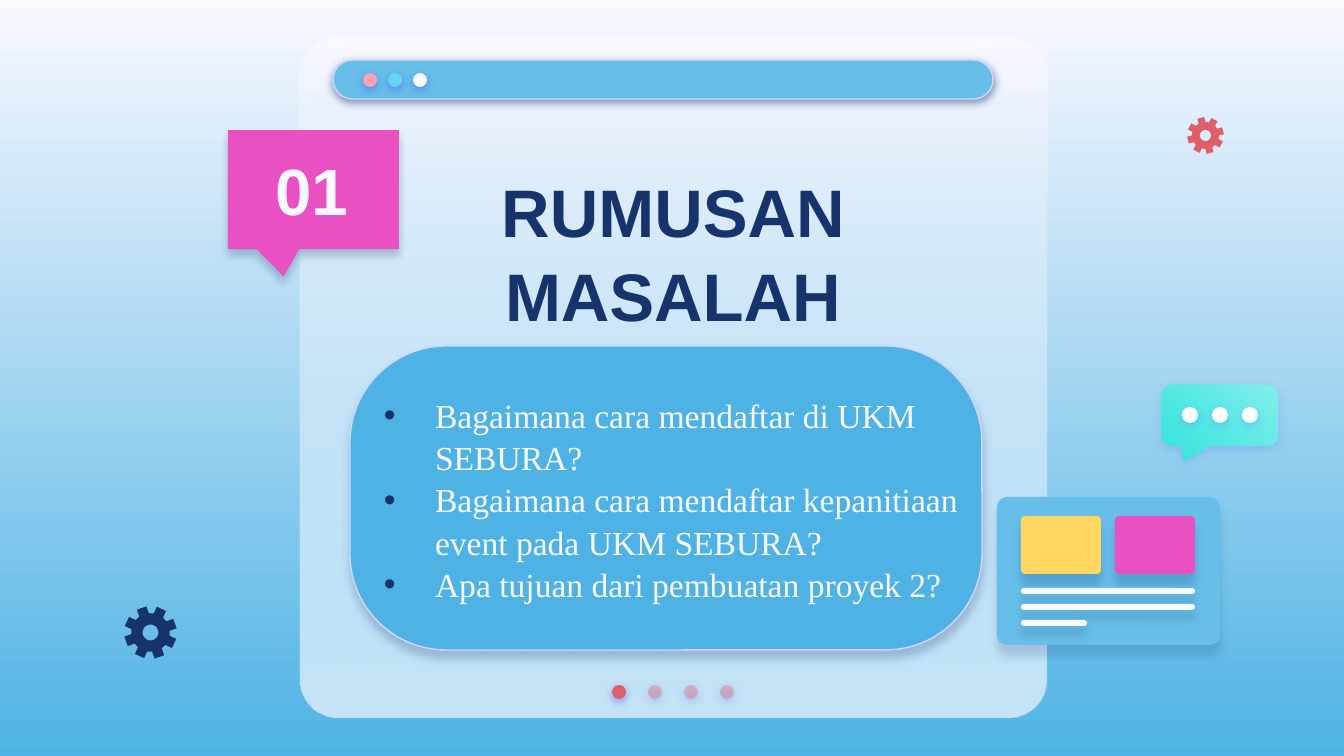
from math import cos, radians, sin

from lxml.etree import SubElement
from pptx import Presentation
from pptx.dml.color import RGBColor
from pptx.enum.shapes import MSO_SHAPE
from pptx.enum.text import MSO_ANCHOR, PP_ALIGN
from pptx.oxml.ns import qn
from pptx.util import Pt

SCALE = 914400 / 134.4
COLORS = {
    "pale": "F9F8FF", "sky": "4EB3E4", "blue": "66BEE9", "navy": "17336B",
    "violet": "5352EE", "lilac": "D2D6FF", "pink": "E951C2", "red": "DF5F69",
    "rose": "E27B83", "blush": "FDA0B4", "cyan": "60D8F4", "yellow": "FFD65F",
    "mint": "81EEEB", "teal": "3AE4DF", "white": "FFFFFF",
}
DOT_SHADOW = ("violet", 50, 1.5)
CHAT_SHADOW = ("violet", 18, 1.5)


def px(length):
    """Turn pixels into EMU."""
    return round(length * SCALE)


def rgb(name):
    """Look up a named colour."""
    return RGBColor.from_string(COLORS[name])


def add_alpha(color_parent, percent):
    """Set the opacity of the colour inside a fill or gradient stop."""
    color = color_parent.find(qn("a:srgbClr"))
    SubElement(color, qn("a:alpha"), val=str(percent * 1000))


def set_gradient(fill, names, angle=270):
    """Give a fill a linear gradient between two named colours."""
    fill.gradient()
    fill.gradient_angle = angle
    for stop, name in zip(fill.gradient_stops, names):
        stop.color.rgb = rgb(name)


def style_shape(shape, fill=None, line=None, shadow=None):
    """Apply fill, outline and a downward shadow of (colour, opacity, distance)."""
    shape.shadow.inherit = False
    if fill:
        shape.fill.solid()
        shape.fill.fore_color.rgb = rgb(fill)
    if line:
        shape.line.color.rgb = rgb(line)
        shape.line.width = Pt(0.75)
    else:
        shape.line.fill.background()
    if shadow:
        name, opacity, distance = shadow
        effects = shape._element.spPr.find(qn("a:effectLst"))
        outer = SubElement(effects, qn("a:outerShdw"), blurRad=str(Pt(4.5)),
                           dist=str(Pt(distance)), dir="5400000",
                           algn="bl", rotWithShape="0")
        SubElement(outer, qn("a:srgbClr"), val=COLORS[name])
        add_alpha(outer, opacity)


def add_shape(page, kind, box, fill=None, line=None, shadow=None, adjust=()):
    """Draw a styled preset shape."""
    shape = page.shapes.add_shape(kind, *map(px, box))
    for index, value in enumerate(adjust):
        shape.adjustments[index] = value
    style_shape(shape, fill, line, shadow)
    return shape


def add_rounded(page, box, fill, radius, line=None, shadow=None):
    """Draw a rounded rectangle with a relative corner radius."""
    return add_shape(page, MSO_SHAPE.ROUNDED_RECTANGLE, box, fill, line, shadow, [radius])


def add_dots(page, box, step, fills, shadow):
    """Draw a row of equal dots starting at the given box."""
    left, top, width, height = box
    return [add_shape(page, MSO_SHAPE.OVAL, (left + step * index, top, width, height),
                      fill, shadow=shadow) for index, fill in enumerate(fills)]


def format_text(frame, size, font, color, bold=False, align=None, spacing=None):
    """Format all the paragraphs of a text frame."""
    frame.word_wrap = True
    frame.margin_left = frame.margin_right = px(13)
    frame.margin_top = frame.margin_bottom = px(13)
    for para in frame.paragraphs:
        para.alignment = align
        para.line_spacing = spacing
        for span in para.runs:
            span.font.size = Pt(size)
            span.font.name = font
            span.font.bold = bold
            span.font.color.rgb = rgb(color)


def draw_window(page, box):
    """Draw the browser-like card with its bar and page dots."""
    left, top, width, _ = box
    add_rounded(page, box, "pale", 0.056)
    veil = add_rounded(page, box, "pale", 0.056)
    set_gradient(veil.fill, ("pale", "blue"))
    add_alpha(veil.fill.gradient_stops[1]._gs, 35)
    for dot in add_dots(page, (left + 312, top + 647, 14, 14), 36,
                        ["red"] + ["rose"] * 3, DOT_SHADOW)[1:]:
        add_alpha(dot._element.spPr.find(qn("a:solidFill")), 44)
    add_rounded(page, (left + 33, top + 22, width - 87, 39), "blue", 0.5,
                "lilac", ("navy", 50, 1.5))
    add_dots(page, (left + 63, top + 35, 14, 14), 25,
             ["blush", "cyan", "pale"], DOT_SHADOW)


def draw_number(page, box, number):
    """Draw the section number in its callout."""
    left, top, width, _ = box
    add_shape(page, MSO_SHAPE.ROUNDED_RECTANGULAR_CALLOUT, box, "pink",
              shadow=("navy", 25, 3.8), adjust=(-0.174, 0.731, 0))
    label = page.shapes.add_textbox(px(left + 12), px(top + 7), px(width - 28), px(105))
    frame = label.text_frame
    frame.text = number
    frame.vertical_anchor = MSO_ANCHOR.BOTTOM
    format_text(frame, 35, "Arial", "pale", True, PP_ALIGN.CENTER)


def draw_title(page, box, text):
    """Place and format the slide title."""
    title = page.shapes.title
    title.left, title.top, title.width, title.height = map(px, box)
    frame = title.text_frame
    frame.text = text
    frame.vertical_anchor = MSO_ANCHOR.MIDDLE
    format_text(frame, 36, "Arial", "navy", True, PP_ALIGN.CENTER, 1.05)


def draw_questions(page, box, questions):
    """Draw the blue panel and its bulleted questions."""
    left, top, width, _ = box
    add_rounded(page, box, "sky", 0.317, "lilac", ("navy", 24, 3.8))
    area = page.shapes.add_textbox(px(left + 21), px(top + 75), px(width + 17), px(155))
    frame = area.text_frame
    frame.text = "\n".join(questions)
    frame.vertical_anchor = MSO_ANCHOR.MIDDLE
    format_text(frame, 18, "Times New Roman", "pale", spacing=1.05)
    for para in frame.paragraphs:
        props = para._p.get_or_add_pPr()
        props.set("marL", str(px(51)))
        props.set("indent", str(px(-51)))
        color = SubElement(props, qn("a:buClr"))
        SubElement(color, qn("a:srgbClr"), val=COLORS["navy"])
        SubElement(props, qn("a:buFont"), typeface="Arial")
        SubElement(props, qn("a:buChar"), char="•")


def draw_card(page, box):
    """Draw the small card with two tiles and three lines."""
    left, top, _, _ = box
    add_rounded(page, box, "blue", 0.07, shadow=("navy", 17, 6))
    for index, fill in enumerate(("yellow", "pink")):
        add_rounded(page, (left + 24 + 94 * index, top + 19, 80, 58), fill, 0.07,
                    shadow=("navy", 20, 6))
    for index, length in enumerate((174, 174, 66)):
        add_rounded(page, (left + 24, top + 91 + 16 * index, length, 6), "pale", 0.5,
                    shadow=("navy", 21, 4.5))


def draw_chat(page, box):
    """Draw the chat bubble with three dots."""
    left, top, _, _ = box
    bubble = add_shape(page, MSO_SHAPE.ROUNDED_RECTANGULAR_CALLOUT, box,
                       shadow=CHAT_SHADOW, adjust=(-0.31, 0.74, 0.18))
    set_gradient(bubble.fill, ("mint", "teal"), 225)
    add_dots(page, (left + 20, top + 22, 16, 16), 30, ["white"] * 3, CHAT_SHADOW)


def draw_gear(page, box, turn, fill):
    """Draw an eight-toothed gear with a round hole."""
    left, top, size, _ = box
    outer = size / 2

    def point(radius, angle):
        """Find a point around the centre of the gear."""
        return (px(left + outer + radius * cos(radians(angle))),
                px(top + outer + radius * sin(radians(angle))))

    rim = [point(outer * radius, turn + 45 * tooth + offset) for tooth in range(8)
           for radius, offset in ((0.73, -15), (1, -11), (1, 11), (0.73, 15))]
    hole = [point(outer * 0.3, angle) for angle in range(0, 360, 10)]
    builder = page.shapes.build_freeform(*rim[0])
    builder.add_line_segments(rim[1:])
    builder.move_to(*hole[0])
    builder.add_line_segments(hole[1:])
    style_shape(builder.convert_to_shape(), fill)


def main():
    """Build the deck and save it."""
    deck = Presentation()
    deck.slide_width, deck.slide_height = px(1344), px(756)
    page = deck.slides.add_slide(deck.slide_layouts[5])
    set_gradient(page.background.fill, ("pale", "sky"))
    draw_window(page, (300, 38, 747, 680))
    draw_title(page, (364, 128, 618, 245), "RUMUSAN\vMASALAH")
    draw_number(page, (228, 130, 171, 119), "01")
    draw_questions(page, (350, 346, 632, 304), [
        "Bagaimana cara mendaftar di UKM SEBURA?",
        "Bagaimana cara mendaftar kepanitiaan event pada UKM SEBURA?",
        "Apa tujuan dari pembuatan proyek 2?",
    ])
    draw_card(page, (997, 497, 223, 148))
    draw_chat(page, (1162, 385, 116, 61))
    draw_gear(page, (124, 606, 53, 53), -110, "navy")
    draw_gear(page, (1187, 117, 37, 37), -105, "red")
    page.shapes._spTree.append(page.shapes.title._element)
    deck.save("out.pptx")


if __name__ == "__main__":
    main()
